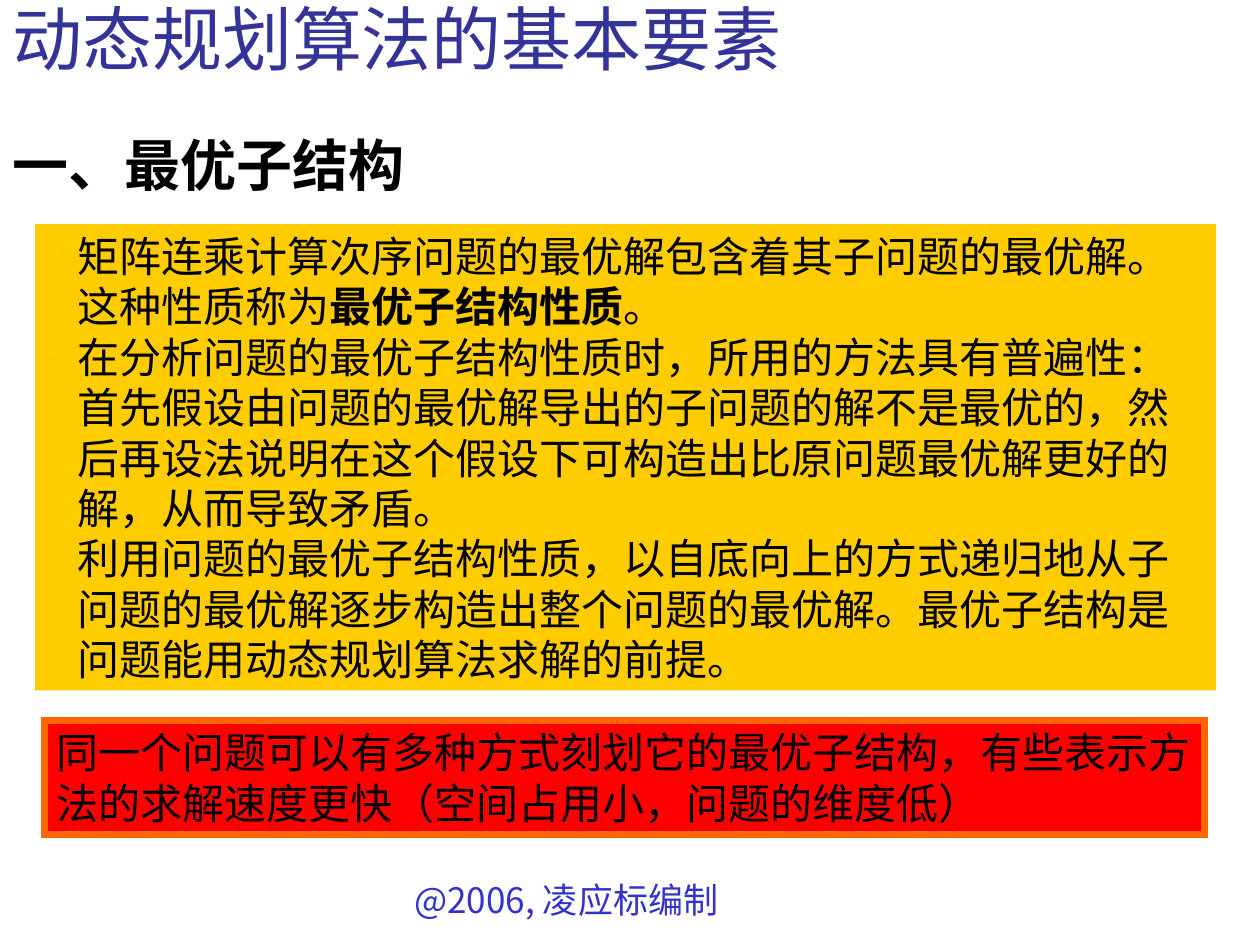
from dataclasses import dataclass

from lxml import etree
from pptx import Presentation
from pptx import util as u
from pptx.dml.color import RGBColor
from pptx.enum import shapes, text
from pptx.oxml import ns


@dataclass(frozen=True)
class Theme:
    title: str = "333399"
    foot: str = "3333CC"
    ink: str = "000000"
    gold: str = "FFCC00"
    dot: str = "FFCF01"
    red: str = "FF0000"
    edge: str = "FF6600"
    big: int = 40
    head: int = 32
    body: int = 24
    small: int = 20
    sans: str = "Arial"
    show: str = "Karla"
    han: str = "Noto Sans CJK SC"


T = Theme()
WIDE, HIGH = 10, 7.5

POINTS = [
    ["矩阵连乘计算次序问题的最优解包含着其子问题的最优解。这种性质称为",
     ("最优子结构性质",), "。"],
    ["在分析问题的最优子结构性质时，所用的方法具有普遍性：首先假设由问题的最优解导出的"
     "子问题的解不是最优的，然后再设法说明在这个假设下可构造出比原问题最优解更好的解，"
     "从而导致矛盾。"],
    ["利用问题的最优子结构性质，以自底向上的方式递归地从子问题的最优解逐步构造出整个"
     "问题的最优解。最优子结构是问题能用动态规划算法求解的前提。"],
]


def write(shape, paras, size=T.body, font=T.sans, color=T.ink, bold=False,
          align=text.PP_ALIGN.LEFT, anchor=text.MSO_ANCHOR.TOP,
          indent=0, dot=None):
    """Fill a shape with paragraphs of runs; a run in a tuple is bold."""
    frame = shape.text_frame
    frame.word_wrap = True
    frame.vertical_anchor = anchor
    for i, runs in enumerate(paras):
        para = frame.paragraphs[0] if i == 0 else frame.add_paragraph()
        para.alignment = align
        if indent:
            props = para._p.get_or_add_pPr()
            props.set("marL", str(u.Inches(indent)))
            if dot:
                props.set("indent", str(-u.Inches(indent)))
                tint = etree.SubElement(props, ns.qn("a:buClr"))
                etree.SubElement(tint, ns.qn("a:srgbClr"), val=dot)
                etree.SubElement(props, ns.qn("a:buChar"), char="•")
        for part in runs:
            strong = isinstance(part, tuple)
            run = para.add_run()
            run.text = part[0] if strong else part
            run.font.size = u.Pt(size)
            run.font.name = font
            run.font.bold = bold or strong
            run.font.color.rgb = RGBColor.from_string(color)


def label(slide, box, words, **form):
    shape = slide.shapes.add_textbox(*map(u.Inches, box))
    write(shape, [[words]], **form)


def panel(slide, box, paras, fill, edge=None, **form):
    shape = slide.shapes.add_shape(shapes.MSO_SHAPE.RECTANGLE,
                                   *map(u.Inches, box))
    shape.shadow.inherit = False
    shape.fill.solid()
    shape.fill.fore_color.rgb = RGBColor.from_string(fill)
    if edge:
        shape.line.color.rgb = RGBColor.from_string(edge)
        shape.line.width = u.Pt(4)
        stroke = shape._element.spPr.find(ns.qn("a:ln"))
        etree.SubElement(stroke, ns.qn("a:miter"), lim="800000")
    else:
        shape.line.fill.background()
    write(shape, paras, **form)


def main():
    deck = Presentation()
    deck.slide_width, deck.slide_height = u.Inches(WIDE), u.Inches(HIGH)
    slide = deck.slides.add_slide(deck.slide_layouts[6])

    label(slide, (0.25 * WIDE, 6.92, 5.58, 0.44), "@2006, 凌应标编制",
          size=T.small, font=T.han, color=T.foot, indent=0.69)
    label(slide, (0, 0, 0.7 * WIDE, 0.68), "动态规划算法的基本要素",
          size=T.big, font=T.show, color=T.title,
          anchor=text.MSO_ANCHOR.BOTTOM)
    label(slide, (0, 0.99, 0.35 * WIDE, 0.64), "一、最优子结构",
          size=T.head, bold=True)
    panel(slide, (0.28, 1.78, 9.37, 3.7), POINTS, T.gold,
          indent=0.24, dot=T.dot)
    panel(slide, (0.35, 5.72, 9.21, 0.9),
          [["同一个问题可以有多种方式刻划它的最优子结构，"
            "有些表示方法的求解速度更快（空间占用小，问题的维度低）"]],
          T.red, edge=T.edge)
    deck.save("out.pptx")


if __name__ == "__main__":
    main()
